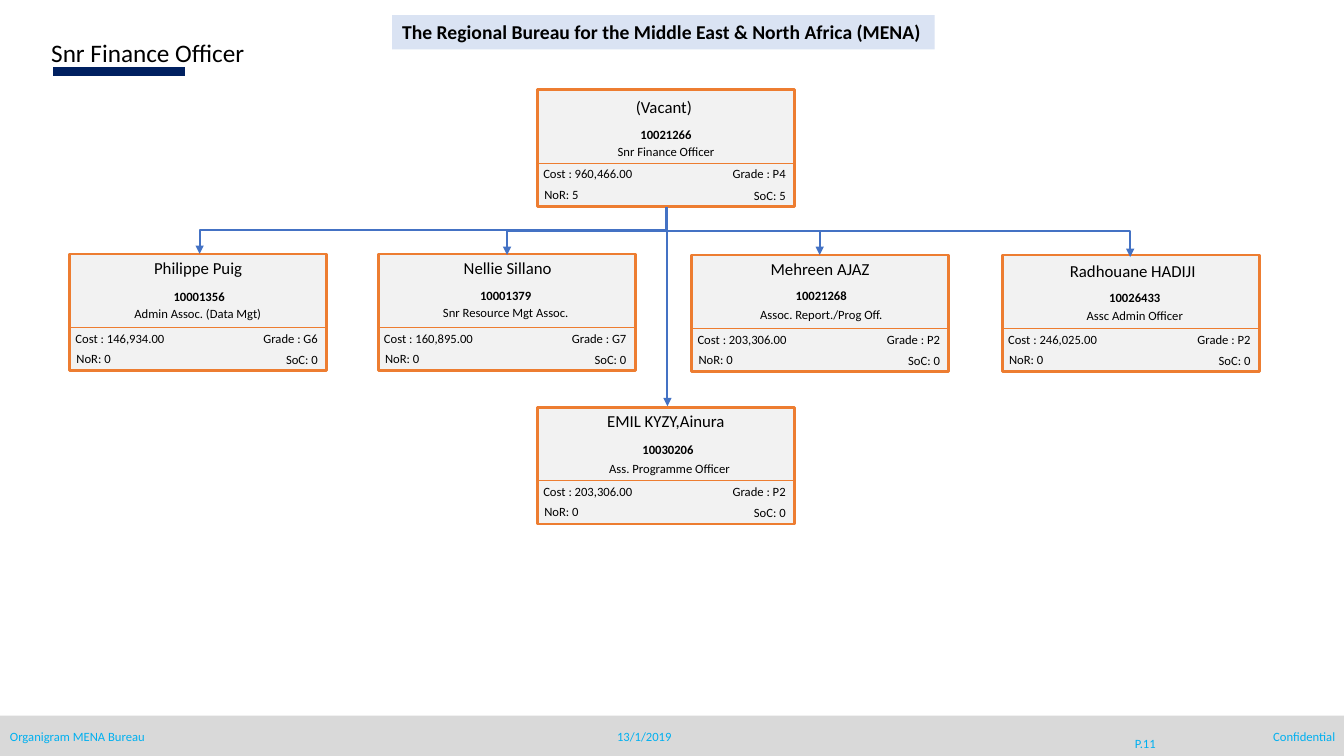
from lxml.etree import SubElement
from pptx import Presentation
from pptx.dml.color import RGBColor
from pptx.enum.shapes import MSO_CONNECTOR, MSO_SHAPE
from pptx.enum.text import MSO_ANCHOR, MSO_AUTO_SIZE, PP_ALIGN
from pptx.oxml.ns import qn
from pptx.util import Inches, Pt

COLORS = {"text": "000000", "footer": "00B0F0", "footer_bar": "D9D9D9",
          "rule": "002060", "banner": "DAE3F3", "card": "F2F2F2",
          "border": "ED7D31", "link": "4472C4"}
FONT = "Calibri"
LEFT, CENTER, RIGHT = PP_ALIGN.LEFT, PP_ALIGN.CENTER, PP_ALIGN.RIGHT

TITLE = "Snr Finance Officer"
BANNER = "The Regional Bureau for the Middle East & North Africa (MENA)"
# text, left, top, width, height, alignment, anchor
FOOTER = [
    ("Organigram MENA Bureau", 0, 7.18, 3.08, 0.25, LEFT, MSO_ANCHOR.TOP),
    ("Confidential", 10.26, 7.18, 3.08, 0.25, RIGHT, MSO_ANCHOR.TOP),
    ("P.11", 10.96, 7.18, 0.8, 0.4, CENTER, MSO_ANCHOR.MIDDLE),
    ("13/1/2019", 5.95, 7.18, 0.88, 0.25, CENTER, MSO_ANCHOR.MIDDLE),
]
# left, top, (name, number, role), (cost, grade, NoR, SoC),
# offsets of the three headings from the card's centre line and top
CARDS = [
    (5.33, 0.89, ("(Vacant)", "10021266", "Snr Finance Officer"),
     ("960,466.00", "P4", 5, 5), ((-0.02, 0.02), (0, 0.32), (0, 0.49))),
    (0.69, 2.52, ("Philippe Puig", "10001356", "Admin Assoc. (Data Mgt) "),
     ("146,934.00", "G6", 0, 0), ((0, -0.01), (0.01, 0.3), (0.01, 0.47))),
    (3.75, 2.52, ("Nellie Sillano", "10001379", "Snr Resource Mgt Assoc."),
     ("160,895.00", "G7", 0, 0), ((0.01, -0.01), (-0.01, 0.29), (-0.01, 0.46))),
    (6.86, 2.53, ("Mehreen AJAZ", "10021268", "Assoc. Report./Prog Off."),
     ("203,306.00", "P2", 0, 0), ((0, -0.01), (0.01, 0.28), (0.01, 0.47))),
    (9.94, 2.53, ("Radhouane HADIJI", "10026433", "Assc Admin Officer"),
     ("246,025.00", "P2", 0, 0), ((0.02, 0.01), (0.04, 0.3), (0.04, 0.48))),
    (5.33, 4.04, ("EMIL KYZY,Ainura", "10030206", " Ass. Programme Officer"),
     ("203,306.00", "P2", 0, 0), ((0, -0.01), (0.02, 0.29), (0.02, 0.48))),
]
CARD_W, CARD_H, DIVIDER_Y = 2.55, 1.16, 0.73
HEADINGS = [(12, False, 0.31), (9, True, 0.25), (9, False, 0.25)]
TRUNK_X, TRUNK_Y, BRANCH_Y = 6.61, 2.05, 2.29
# start and end of each branch that turns once
BRANCHES = [((6.74, BRANCH_Y), (5.03, 2.53)),
            ((6.72, BRANCH_Y), (8.13, 2.53)),
            ((6.56, BRANCH_Y), (11.21, 2.55))]

prs = Presentation()
prs.slide_width, prs.slide_height = Inches(13.33), Inches(7.5)
shapes = prs.slides.add_slide(prs.slide_layouts[6]).shapes


def rgb(name):
    return RGBColor.from_string(COLORS[name])


def write(sp, text, size, color="text", bold=False, align=LEFT,
          anchor=MSO_ANCHOR.TOP, wrap=True):
    tf = sp.text_frame
    tf.word_wrap = wrap
    tf.auto_size = MSO_AUTO_SIZE.SHAPE_TO_FIT_TEXT
    tf.vertical_anchor = anchor
    p = tf.paragraphs[0]
    p.text = text
    p.alignment = align
    p.font.name, p.font.size, p.font.bold = FONT, Pt(size), bold
    p.font.color.rgb = rgb(color)


def add_text(text, x, y, w, h, size, **style):
    write(shapes.add_textbox(*map(Inches, (x, y, w, h))), text, size, **style)


def add_rect(x, y, w, h, fill, border=None):
    sp = shapes.add_shape(MSO_SHAPE.RECTANGLE, *map(Inches, (x, y, w, h)))
    sp.shadow.inherit = False
    sp.fill.solid()
    sp.fill.fore_color.rgb = rgb(fill)
    if border:
        sp.line.color.rgb = rgb(border)
        sp.line.width = Pt(2)
    else:
        sp.line.fill.background()
    return sp


def add_line(start, end, color, width, kind=MSO_CONNECTOR.STRAIGHT, arrow=False):
    cxn = shapes.add_connector(kind, *map(Inches, (*start, *end)))
    cxn.line.color.rgb = rgb(color)
    cxn.line.width = Pt(width)
    if arrow:
        SubElement(cxn.line._get_or_add_ln(), qn("a:tailEnd"), type="triangle")
    SubElement(cxn._element.spPr, qn("a:effectLst"))
    return cxn


def add_card(x, y, headings, facts, offsets):
    add_rect(x, y, CARD_W, CARD_H, "card", "border")
    for text, (size, bold, h), (dx, dy) in zip(headings, HEADINGS, offsets):
        add_text(text, x + dx, y + dy, CARD_W, h, size, bold=bold, align=CENTER)
    add_line((x, y + DIVIDER_Y), (x + CARD_W, y + DIVIDER_Y), "border", 1)
    cost, grade, nor, soc = facts
    right = x + CARD_W + 0.01
    add_text(f"Cost : {cost}", x - 0.04, y + 0.71, 1.23, 0.25, 9)
    add_text(f"Grade : {grade}", right - 1.22, y + 0.71, 1.22, 0.25, 9, align=RIGHT)
    add_text(f"NoR: {nor}", x - 0.03, y + 0.91, 0.79, 0.25, 9)
    add_text(f"SoC: {soc}", right - 1.02, y + 0.92, 1.02, 0.25, 9, align=RIGHT)


def add_side_branch(start, end):
    """Elbow that leaves downwards: a level elbow turned by 90 degrees."""
    (x1, y1), (x2, y2) = start, end
    cx, cy = (x1 + x2) / 2, (y1 + y2) / 2
    half_w, half_h = (y2 - y1) / 2, (x1 - x2) / 2
    cxn = add_line((cx - half_w, cy - half_h), (cx + half_w, cy + half_h),
                   "link", 1.5, MSO_CONNECTOR.ELBOW, True)
    cxn._element.spPr.find(qn("a:xfrm")).set("rot", "5400000")


add_line((0.53, 0.71), (1.84, 0.71), "rule", 7)
add_rect(0, 7.1, 13.33, 0.41, "footer_bar")
for text, x, y, w, h, align, anchor in FOOTER:
    add_text(text, x, y, w, h, 9, color="footer", align=align, anchor=anchor)
add_text(TITLE, 0.41, 0.32, 5.3, 0.41, 18)
write(add_rect(3.89, 0.15, 5.38, 0.34, "banner"), BANNER, 14, bold=True, wrap=False)

for card in CARDS:
    add_card(*card)

add_side_branch((TRUNK_X, TRUNK_Y), (1.98, 2.52))
for start, end in BRANCHES:
    branch = add_line(start, end, "link", 1.5, MSO_CONNECTOR.ELBOW, True)
    branch._element.spPr.find(qn("a:prstGeom")).set("prst", "bentConnector2")
add_line((TRUNK_X + 0.01, TRUNK_Y), (TRUNK_X + 0.01, 4.03), "link", 1.5, arrow=True)

prs.save("out.pptx")
